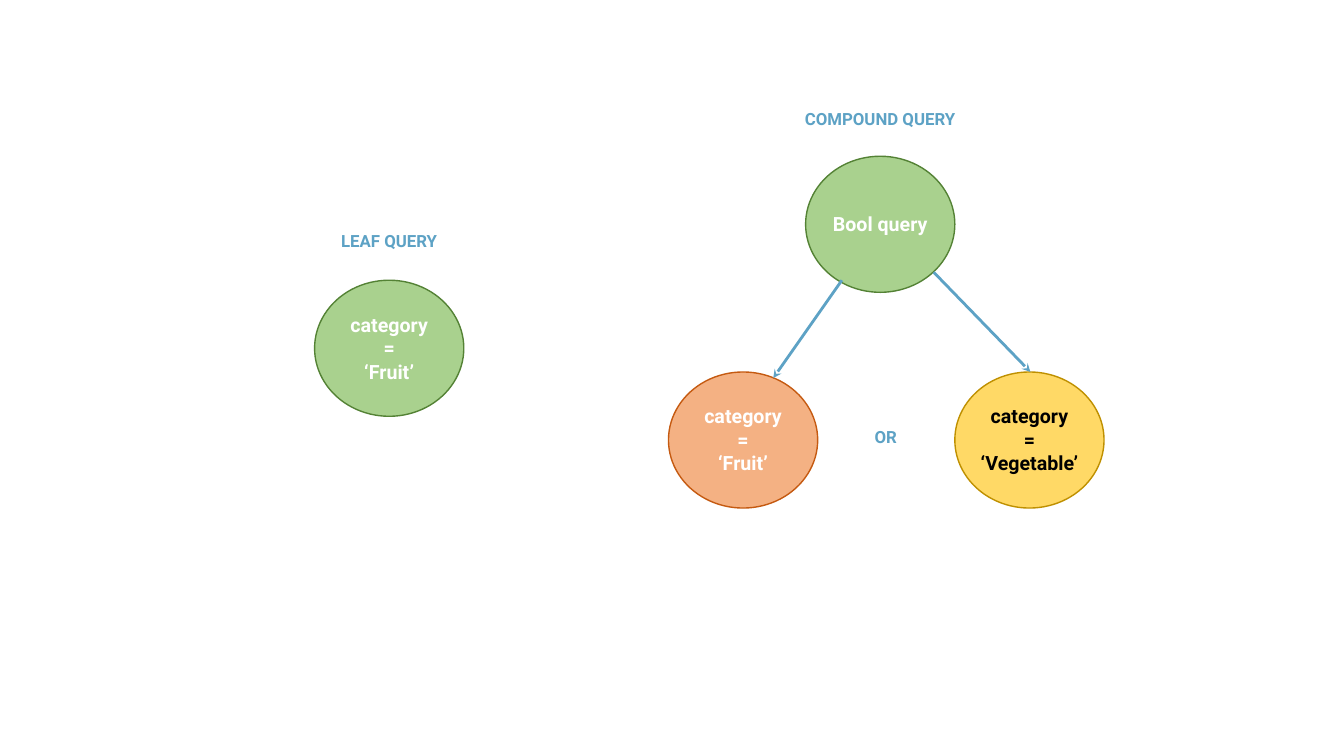
"""Build a slide that sets a leaf query beside a compound query."""
from lxml.etree import SubElement
from pptx import Presentation
from pptx.dml.color import RGBColor
from pptx.enum.shapes import MSO_CONNECTOR, MSO_SHAPE
from pptx.enum.text import MSO_ANCHOR, MSO_AUTO_SIZE, PP_ALIGN
from pptx.oxml.ns import qn
from pptx.util import Inches, Pt

BLUE = "5DA2C5"
WHITE = "FFFFFF"
WIDE, HIGH = 1.48, 1.35


def paint(target, color):
    target.solid()
    target.fore_color.rgb = RGBColor.from_string(color)


def write(shapes, text, left, top, width, height, size=12, color=BLUE):
    box = shapes.add_textbox(Inches(left), Inches(top), Inches(width), Inches(height))
    frame = box.text_frame
    frame.word_wrap = True
    frame.auto_size = MSO_AUTO_SIZE.SHAPE_TO_FIT_TEXT
    frame.vertical_anchor = MSO_ANCHOR.TOP
    frame.text = text
    for para in frame.paragraphs:
        para.alignment = PP_ALIGN.CENTER
        font = para.runs[0].font
        font.name, font.size, font.bold = "Roboto", Pt(size), True
        paint(font.fill, color)


deck = Presentation()
deck.slide_width, deck.slide_height = Inches(13.33), Inches(7.5)
slide = deck.slides.add_slide(deck.slide_layouts[6])

nodes = [
    ("category\n=\n‘Fruit’", 3.12, 2.78, "A9D18E", "548235", WHITE, 1.25),
    ("Bool query", 7.99, 1.55, "A9D18E", "548235", WHITE, 1.25),
    ("category\n=\n‘Fruit’", 6.63, 3.69, "F4B183", "C55A11", WHITE, 1.25),
    ("category\n=\n‘Vegetable’", 9.47, 3.69, "FFD966", "BF9000", "000000", WIDE),
]
for text, left, top, fill, edge, color, width in nodes:
    group = slide.shapes.add_group_shape()
    oval = group.shapes.add_shape(
        MSO_SHAPE.OVAL, Inches(left), Inches(top), Inches(WIDE), Inches(HIGH))
    oval.shadow.inherit = False
    paint(oval.fill, fill)
    paint(oval.line.fill, edge)
    oval.line.width = Pt(1)
    height = 0.81 if "\n" in text else 0.34
    write(group.shapes, text, left + (WIDE - width) / 2, top + (HIGH - height) / 2,
          width, height, size=14, color=color)

for ends in [(8.35, 2.78, 7.67, 3.75), (9.26, 2.7, 10.22, 3.69)]:
    arrow = slide.shapes.add_connector(MSO_CONNECTOR.STRAIGHT, *map(Inches, ends))
    paint(arrow.line.fill, BLUE)
    arrow.line.width = Pt(2)
    SubElement(arrow.line._get_or_add_ln(), qn("a:tailEnd"), type="stealth")
    SubElement(arrow._element.spPr, qn("a:effectLst"))

for text, left, top, width in [
    ("LEAF QUERY", 2.91, 2.24, 1.9),
    ("COMPOUND QUERY", 7.78, 1.03, 1.9),
    ("OR", 8.35, 4.18, 0.87),
]:
    write(slide.shapes, text, left, top, width, 0.3)

deck.save("out.pptx")
